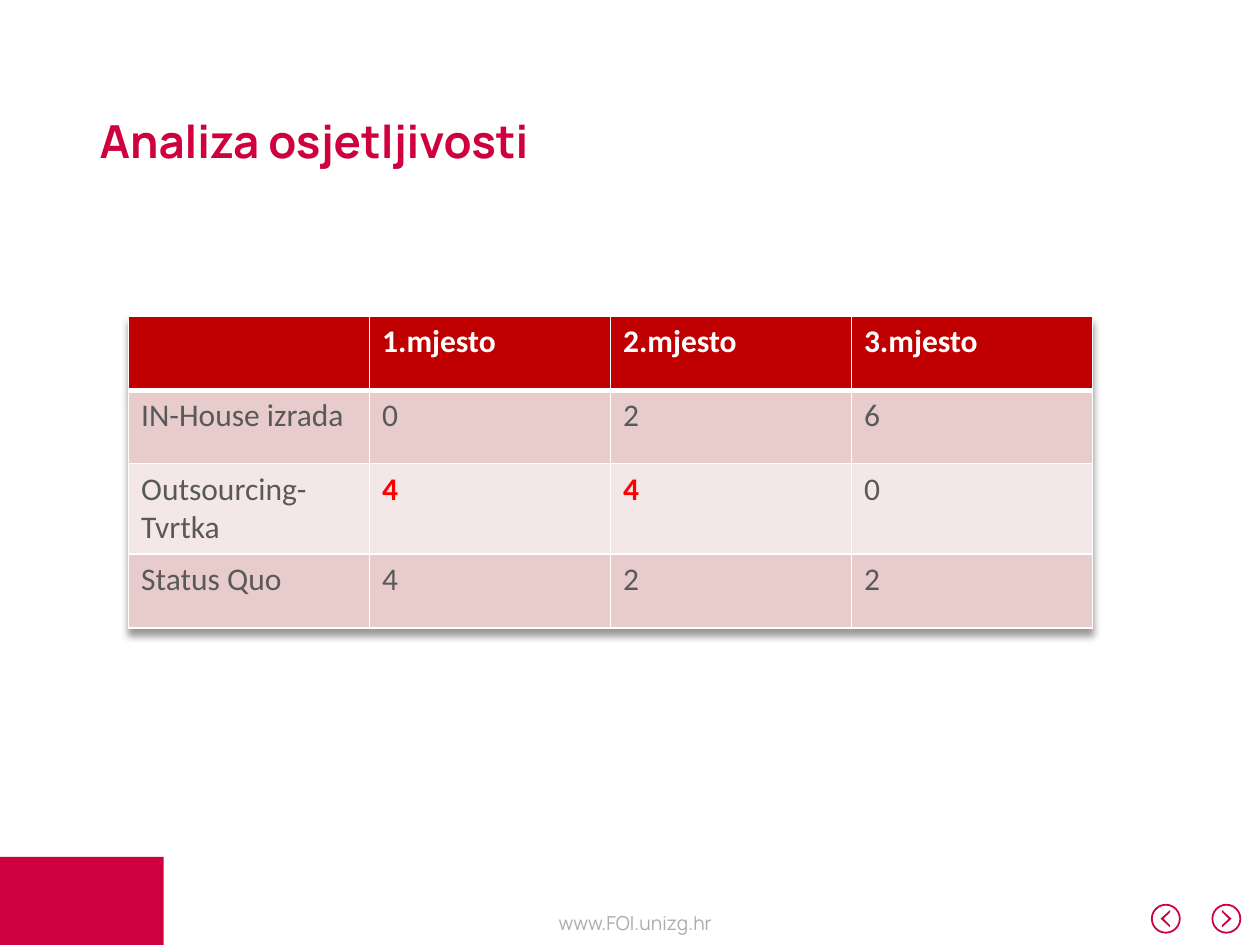
from lxml import etree
from pptx import Presentation
from pptx.dml.color import RGBColor
from pptx.enum import shapes, text
from pptx.oxml import parse_xml
from pptx.oxml.ns import nsdecls, qn
from pptx.util import Pt

CRIMSON = RGBColor(0xCE, 0x00, 0x3D)
GREY = RGBColor(0xAC, 0xAC, 0xAC)
BODY = RGBColor(0x59, 0x59, 0x59)
HEADER = RGBColor(0xC0, 0x00, 0x00)
HIGHLIGHT = RGBColor(0xFF, 0x00, 0x00)
WHITE = RGBColor(0xFF, 0xFF, 0xFF)
BANDS = [RGBColor(0xE8, 0xCC, 0xCC), RGBColor(0xF4, 0xE7, 0xE7)]

RANKING = [
    ["", "1.mjesto", "2.mjesto", "3.mjesto"],
    ["IN-House izrada", "0", "2", "6"],
    ["Outsourcing-Tvrtka", "4", "4", "0"],
    ["Status Quo", "4", "2", "2"],
]
HIGHLIGHTED = {(2, 1), (2, 2)}
ROW_HEIGHTS = [42.5, 42, 51.5, 42.5]


def paint(shape):
    shape.shadow.inherit = False
    shape.fill.solid()
    shape.fill.fore_color.rgb = CRIMSON
    shape.line.fill.background()


def add_run(paragraph, wording, font_name, size, color, bold=False):
    run = paragraph.add_run()
    run.text = wording
    run.font.name = font_name
    run.font.size = Pt(size)
    run.font.color.rgb = color
    run.font.bold = bold


def add_nav_button(slide, center_x, center_y, direction):
    """Ring with an arrowhead; direction is 1 for next, -1 for previous."""
    radius = 8.5
    ring = slide.shapes.add_shape(
        shapes.MSO_SHAPE.DONUT, Pt(center_x - radius), Pt(center_y - radius),
        Pt(2 * radius), Pt(2 * radius))
    ring.adjustments[0] = 0.06
    paint(ring)

    outline = [(-2.5, 3.75), (1.3, 0), (-2.5, -3.75),
               (-2.5, -5), (3, 0), (-2.5, 5)]
    points = [(Pt(center_x + direction * dx), Pt(center_y + dy))
              for dx, dy in outline]
    builder = slide.shapes.build_freeform(*points[0])
    builder.add_line_segments(points[1:], close=True)
    paint(builder.convert_to_shape())


def add_footer(slide):
    corner = slide.shapes.add_shape(
        shapes.MSO_SHAPE.RECTANGLE, 0, Pt(489.6), Pt(93.6), Pt(50.4))
    paint(corner)
    address = slide.shapes.add_textbox(Pt(183), Pt(517), Pt(360), Pt(21))
    address.text_frame.word_wrap = True
    paragraph = address.text_frame.paragraphs[0]
    paragraph.alignment = text.PP_ALIGN.CENTER
    add_run(paragraph, "www.FOI.unizg.hr", "Manrope", 11, GREY)


def fill_title(slide, wording):
    title = slide.shapes.title
    title.left, title.top = Pt(49.7), Pt(49.7)
    title.width, title.height = Pt(620.6), Pt(65.5)
    title.text_frame.vertical_anchor = text.MSO_ANCHOR.MIDDLE
    paragraph = title.text_frame.paragraphs[0]
    paragraph.alignment = text.PP_ALIGN.LEFT
    paragraph.line_spacing = 0.9
    add_run(paragraph, wording, "Manrope", 26, CRIMSON, bold=True)


def set_borders(cell, bottom):
    """Put white lines on all sides, ahead of the cell fill."""
    properties = cell._tc.get_or_add_tcPr()
    widths = {"a:lnL": 1, "a:lnR": 1, "a:lnT": 1, "a:lnB": bottom}
    for position, (side, width) in enumerate(widths.items()):
        line = etree.Element(qn(side), w=str(Pt(width)))
        solid = etree.SubElement(line, qn("a:solidFill"))
        etree.SubElement(solid, qn("a:srgbClr"), val=str(WHITE))
        properties.insert(position, line)


def add_table_shadow(table):
    table._tbl.tblPr.insert(0, parse_xml(
        f'<a:effectLst {nsdecls("a")}>'
        f'<a:outerShdw blurRad="{Pt(4)}" dist="{Pt(4)}" dir="5400000" '
        'algn="t" rotWithShape="0"><a:srgbClr val="000000">'
        '<a:alpha val="40000"/></a:srgbClr></a:outerShdw></a:effectLst>'))


def add_ranking_table(slide):
    table = slide.shapes.add_table(
        len(RANKING), len(RANKING[0]), Pt(73.5), Pt(180.5),
        Pt(550.8), Pt(sum(ROW_HEIGHTS))).table
    add_table_shadow(table)
    for column in table.columns:
        column.width = Pt(137.7)
    for r, (values, height) in enumerate(zip(RANKING, ROW_HEIGHTS)):
        table.rows[r].height = Pt(height)
        is_header = r == 0
        for c, value in enumerate(values):
            cell = table.cell(r, c)
            cell.fill.solid()
            cell.fill.fore_color.rgb = HEADER if is_header else BANDS[(r - 1) % 2]
            set_borders(cell, bottom=3 if is_header else 1)
            if not value:
                continue
            stressed = (r, c) in HIGHLIGHTED
            color = WHITE if is_header else HIGHLIGHT if stressed else BODY
            add_run(cell.text_frame.paragraphs[0], value, "Calibri", 18,
                    color, bold=is_header or stressed)


def main():
    deck = Presentation()
    deck.slide_width, deck.slide_height = Pt(720), Pt(540)
    slide = deck.slides.add_slide(deck.slide_layouts[5])

    # Navigation and footer
    add_nav_button(slide, 700.8, 525, 1)
    add_nav_button(slide, 666.2, 525, -1)
    add_footer(slide)

    # Content
    fill_title(slide, "Analiza osjetljivosti")
    add_ranking_table(slide)

    deck.save("out.pptx")


if __name__ == "__main__":
    main()
